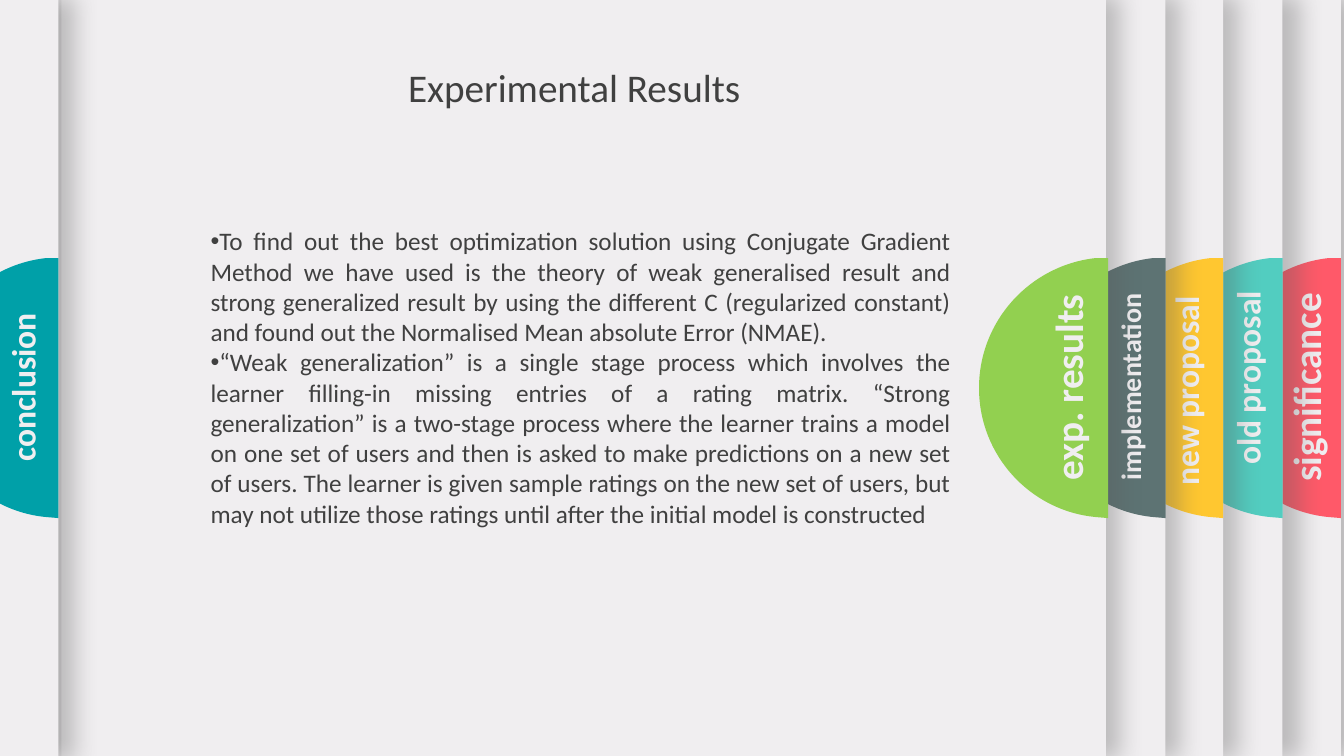
"""Build the Experimental Results slide with stacked cards and side tabs."""
from lxml import etree
from pptx import Presentation
from pptx.dml.color import RGBColor
from pptx.enum.shapes import MSO_SHAPE
from pptx.enum.text import MSO_ANCHOR, MSO_AUTO_SIZE, PP_ALIGN
from pptx.oxml.ns import qn
from pptx.util import Inches, Pt

RECT = MSO_SHAPE.RECTANGLE
TOP = MSO_ANCHOR.TOP
GROW, FIXED = MSO_AUTO_SIZE.SHAPE_TO_FIT_TEXT, MSO_AUTO_SIZE.NONE
CENTER, JUSTIFY = PP_ALIGN.CENTER, PP_ALIGN.JUSTIFY
PALE, DARK, SHADE = "F0EEF0", "404040", "595959"
TAB_W, TAB_TOP = 1.28, 2.56
CORNERS = [(1.28, 0), (1.28, 2.58), (1.16, 2.57), (0, 1.29), (1.16, 0)]
BENDS = [[(0.51, 2.51), (0, 1.96)], [(0, 0.62), (0.51, 0.07)]]


def paint(fmt, color):
    fmt.solid()
    fmt.fore_color.rgb = RGBColor.from_string(color)


def write(para, text, size, color, align, bold=False):
    para.alignment = align
    run = para.add_run()
    run.text = text
    run.font.name = "Calibri"
    run.font.size = Pt(size)
    run.font.bold = bold
    paint(run.font.fill, color)


deck = Presentation()
deck.slide_width, deck.slide_height = Inches(13.33), Inches(7.5)
slide = deck.slides.add_slide(deck.slide_layouts[5])
paint(slide.background.fill, PALE)
shapes = slide.shapes

# card left, card width, tab edge, colour, label, size, label left, top, height
cards = [
    (-0.35, 13.65, 13.3, "FF5969", "significance", 28, 11.86, 3.56, 0.57),
    (0.2, 12.52, 12.72, "52CDC0", "old proposal", 24, 11.28, 3.5, 0.5),
    (1.24, 10.89, 12.13, "FFC730", "new proposal ", 24, 10.67, 3.59, 0.5),
    (1.09, 10.47, 11.56, "5D7373", "implementation", 20, 10.12, 3.62, 0.44),
    (0.61, 10.36, 10.99, "92D050", "exp. results", 28, 9.5, 3.56, 0.57),
    (-10.27, 10.85, 0.58, "00A0A8", "conclusion", 24, -0.87, 3.59, 0.5),
]
for left, width, edge, color, label, size, x, y, height in cards:
    group = shapes.add_group_shape().shapes
    card = group.add_shape(RECT, Inches(left), 0, Inches(width), Inches(7.5))
    card.shadow.inherit = False
    paint(card.fill, PALE)
    card.line.fill.background()
    effects = card._element.spPr.find(qn("a:effectLst"))
    shadow = etree.SubElement(
        effects, qn("a:outerShdw"), blurRad=str(Pt(17)), dist=str(Pt(3)),
        dir="0", sx="101000", sy="101000", algn="l", rotWithShape="0")
    tint = etree.SubElement(shadow, qn("a:srgbClr"), val=SHADE)
    etree.SubElement(tint, qn("a:alpha"), val="35000")

    dots = [(Inches(edge - TAB_W + dx), Inches(TAB_TOP + dy))
            for dx, dy in CORNERS]
    pen = group.build_freeform(*dots[0])
    pen.add_line_segments(dots[1:], close=True)
    tab = pen.convert_to_shape()
    tab.shadow.inherit = False
    paint(tab.fill, color)
    tab.line.fill.background()
    sides = list(tab._element.iter(qn("a:lnTo")))
    for side, bend in zip(sides[2:4], BENDS):
        side.tag = qn("a:cubicBezTo")
        for i, (dx, dy) in enumerate(bend):
            side.insert(i, etree.Element(
                qn("a:pt"), x=str(Inches(dx)), y=str(Inches(dy))))

    box = group.add_textbox(
        Inches(x), Inches(y), Inches(2.18), Inches(height))
    box.rotation = 270
    frame = box.text_frame
    frame.word_wrap = True
    frame.auto_size = GROW
    write(frame.paragraphs[0], label, size, PALE, CENTER, True)

points = [
    "To find out the best optimization solution using Conjugate Gradient "
    "Method we have used is the theory of weak generalised result and strong "
    "generalized result by using the different C (regularized constant) and "
    "found out the Normalised Mean absolute Error (NMAE).",
    "“Weak generalization” is a single stage process which involves the "
    "learner filling-in missing entries of a rating matrix. “Strong "
    "generalization” is a two-stage process where the learner trains a model "
    "on one set of users and then is asked to make predictions on a new set "
    "of users. The learner is given sample ratings on the new set of users, "
    "but may not utilize those ratings until after the initial model is "
    "constructed",
]
body = shapes.add_textbox(
    Inches(1.99), Inches(2.19), Inches(7.54), Inches(3.13))
frame = body.text_frame
frame.word_wrap = True
frame.auto_size = GROW
for i, point in enumerate(points):
    para = frame.add_paragraph() if i else frame.paragraphs[0]
    props = para._p.get_or_add_pPr()
    etree.SubElement(props, qn("a:buFont"), typeface="Arial")
    etree.SubElement(props, qn("a:buChar"), char="•")
    write(para, point, 18, DARK, JUSTIFY)

title = shapes.title
title.left, title.top = Inches(2.36), Inches(0.58)
title.width, title.height = Inches(6.67), Inches(1.11)
frame = title.text_frame
frame.word_wrap = True
frame.auto_size = FIXED
frame.vertical_anchor = TOP
write(frame.paragraphs[0], "Experimental Results", 28, DARK, CENTER)
shapes._spTree.append(title._element)

deck.save("out.pptx")
